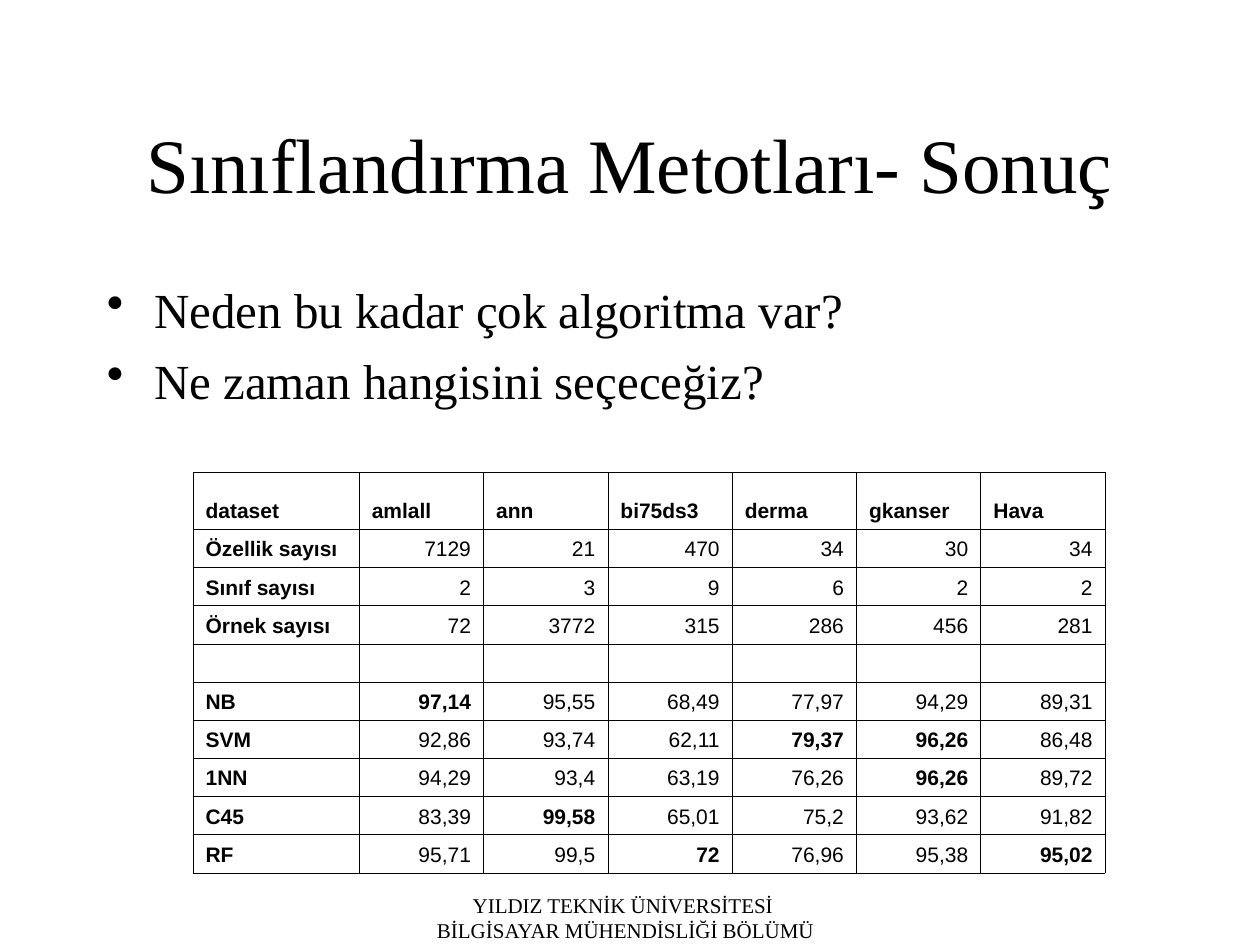
import dataclasses
import typing

import lxml.etree
import pptx
import pptx.dml.color
import pptx.enum.text
import pptx.oxml.ns
import pptx.util

Pt = pptx.util.Pt
Align = pptx.enum.text.PP_ALIGN
Anchor = pptx.enum.text.MSO_ANCHOR
qn = pptx.oxml.ns.qn


@dataclasses.dataclass(frozen=True)
class Theme:
    ink: str = "000000"
    serif: str = "Times New Roman"
    sans: str = "Arial"
    title_size: float = 44
    body_size: float = 28
    small_size: float = 12
    border_width: float = 0.45


@dataclasses.dataclass(frozen=True)
class TextBlock:
    left: float
    top: float
    width: float
    height: float
    lines: tuple[str, ...]
    size: float
    align: Align = Align.CENTER
    anchor: Anchor = Anchor.TOP
    bulleted: bool = False


THEME = Theme()

FOOTER = TextBlock(190, 506.2, 335, 36,
                   ("YILDIZ TEKNİK ÜNİVERSİTESİ ", "BİLGİSAYAR MÜHENDİSLİĞİ BÖLÜMÜ"),
                   THEME.small_size)
TITLE = TextBlock(54, 48, 612, 90, ("Sınıflandırma Metotları- Sonuç",),
                  THEME.title_size, anchor=Anchor.MIDDLE)
QUESTIONS = TextBlock(54, 156, 572.4, 324,
                      ("Neden bu kadar çok algoritma var?", "Ne zaman hangisini seçeceğiz?"),
                      THEME.body_size, align=Align.LEFT, bulleted=True)

HEADER = ("dataset", "amlall", "ann", "bi75ds3", "derma", "gkanser", "Hava")
PROPERTIES = (
    ("Özellik sayısı", "7129", "21", "470", "34", "30", "34"),
    ("Sınıf sayısı", "2", "3", "9", "6", "2", "2"),
    ("Örnek sayısı", "72", "3772", "315", "286", "456", "281"),
)
SCORES = (
    ("NB", "97,14", "95,55", "68,49", "77,97", "94,29", "89,31"),
    ("SVM", "92,86", "93,74", "62,11", "79,37", "96,26", "86,48"),
    ("1NN", "94,29", "93,4", "63,19", "76,26", "96,26", "89,72"),
    ("C45", "83,39", "99,58", "65,01", "75,2", "93,62", "91,82"),
    ("RF", "95,71", "99,5", "72", "76,96", "95,38", "95,02"),
)
ROWS = (HEADER, *PROPERTIES, ("",) * len(HEADER), *SCORES)
FIRST_SCORE_ROW = len(ROWS) - len(SCORES)

TABLE_LEFT, TABLE_TOP = 110.3, 270
LABEL_WIDTH, VALUE_WIDTH = 95, 71.05
HEADER_HEIGHT, ROW_HEIGHT = 32.6, 21.82


def style_paragraph(paragraph: typing.Any, size: float, face: str, bold: bool = False) -> None:
    font = paragraph.font
    font.size = Pt(size)
    font.name = face
    font.bold = bold
    font.color.rgb = pptx.dml.color.RGBColor.from_string(THEME.ink)


def add_bullet(paragraph: typing.Any) -> None:
    properties = paragraph._p.get_or_add_pPr()
    properties.set("marL", str(Pt(27)))
    properties.set("indent", str(-Pt(27)))
    color = lxml.etree.SubElement(properties, qn("a:buClr"))
    lxml.etree.SubElement(color, qn("a:srgbClr"), val=THEME.ink)
    lxml.etree.SubElement(properties, qn("a:buChar"), char="•")


def draw_text(page: typing.Any, block: TextBlock) -> None:
    box = page.shapes.add_textbox(Pt(block.left), Pt(block.top), Pt(block.width), Pt(block.height))
    frame = box.text_frame
    frame.word_wrap = True
    frame.vertical_anchor = block.anchor
    for index, line in enumerate(block.lines):
        paragraph = frame.add_paragraph() if index else frame.paragraphs[0]
        paragraph.text = line
        paragraph.alignment = block.align
        if block.bulleted:
            add_bullet(paragraph)
            if index:
                paragraph.space_before = Pt(7)
        style_paragraph(paragraph, block.size, THEME.serif)


def add_borders(cell: typing.Any) -> None:
    properties = cell._tc.get_or_add_tcPr()
    for side in ("lnL", "lnR", "lnT", "lnB"):
        line = lxml.etree.SubElement(properties, qn(f"a:{side}"), w=str(Pt(THEME.border_width)))
        fill = lxml.etree.SubElement(line, qn("a:solidFill"))
        lxml.etree.SubElement(fill, qn("a:srgbClr"), val=THEME.ink)


def draw_cell(cell: typing.Any, text: str, align: Align, bold: bool) -> None:
    add_borders(cell)
    cell.fill.background()
    cell.vertical_anchor = Anchor.BOTTOM
    paragraph = cell.text_frame.paragraphs[0]
    paragraph.alignment = align
    if text:
        paragraph.text = text
    else:
        lxml.etree.SubElement(paragraph._p, qn("a:endParaRPr"), sz=str(int(THEME.small_size * 100)))
    style_paragraph(paragraph, THEME.small_size, THEME.sans, bold)


def score(text: str) -> float:
    return float(text.replace(",", "."))


def draw_table(page: typing.Any) -> None:
    widths = [LABEL_WIDTH] + [VALUE_WIDTH] * (len(HEADER) - 1)
    heights = [HEADER_HEIGHT] + [ROW_HEIGHT] * (len(ROWS) - 1)
    table = page.shapes.add_table(len(ROWS), len(HEADER), Pt(TABLE_LEFT), Pt(TABLE_TOP),
                                  Pt(sum(widths)), Pt(sum(heights))).table
    table.first_row = False
    table.horz_banding = False
    for column, width in zip(table.columns, widths):
        column.width = Pt(width)
    for row, height in zip(table.rows, heights):
        row.height = Pt(height)
    best = [max(map(score, values)) for values in list(zip(*SCORES))[1:]]
    for row_index, values in enumerate(ROWS):
        for column_index, text in enumerate(values):
            label = row_index == 0 or column_index == 0
            winner = (not label and row_index >= FIRST_SCORE_ROW
                      and score(text) == best[column_index - 1])
            draw_cell(table.cell(row_index, column_index), text,
                      Align.LEFT if label else Align.RIGHT, label or winner)


def main() -> None:
    deck = pptx.Presentation()
    deck.slide_width, deck.slide_height = Pt(720), Pt(540)
    page = deck.slides.add_slide(deck.slide_layouts[6])
    for block in (FOOTER, TITLE, QUESTIONS):
        draw_text(page, block)
    draw_table(page)
    deck.save("out.pptx")


if __name__ == "__main__":
    main()
